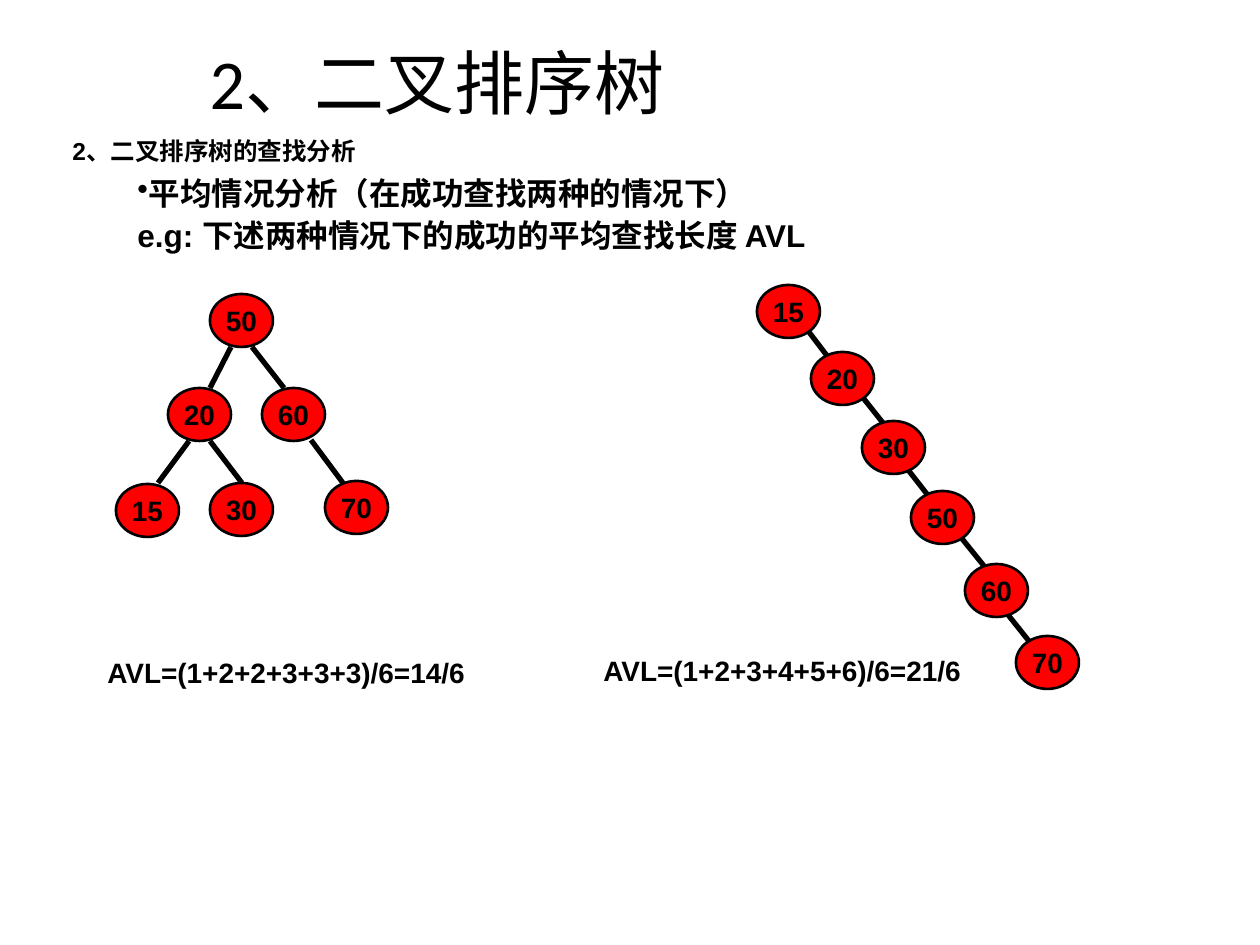
from lxml.etree import SubElement
from pptx import Presentation
from pptx.dml.color import RGBColor
from pptx.enum.shapes import MSO_CONNECTOR, MSO_SHAPE
from pptx.enum.text import MSO_ANCHOR, MSO_AUTO_SIZE, PP_ALIGN
from pptx.oxml.ns import qn
from pptx.util import Emu, Pt

BLACK = RGBColor(0, 0, 0)
RED = RGBColor(255, 0, 0)
NODE_WIDTH, NODE_HEIGHT = 63, 53


def px(length):
    return Emu(round(length * 914400 / 126))


def write(frame, text, size=16, font="Arial", bold=True, align=PP_ALIGN.LEFT,
          anchor=MSO_ANCHOR.TOP, wrap=True, margin=0, indent=0, bullet=None):
    frame.word_wrap = wrap
    frame.vertical_anchor = anchor
    paragraph = frame.paragraphs[0]
    paragraph.alignment = align
    if margin:
        properties = paragraph._p.get_or_add_pPr()
        properties.set("marL", str(px(margin)))
        properties.set("indent", str(px(indent)))
        if bullet:
            SubElement(properties, qn("a:buChar")).set("char", bullet)
    run = paragraph.add_run()
    run.text = text
    run.font.size = Pt(size)
    run.font.name = font
    run.font.bold = bold
    run.font.color.rgb = BLACK
    return paragraph


presentation = Presentation()
presentation.slide_width, presentation.slide_height = px(1260), px(945)
slide = presentation.slides.add_slide(presentation.slide_layouts[5])

title = slide.shapes.title
title.left, title.top, title.width, title.height = px(197), px(40), px(951), px(93)
heading = write(title.text_frame, "2、二叉排序树", size=40, font="Calibri",
                bold=False, anchor=MSO_ANCHOR.MIDDLE)
heading.line_spacing = 0.9

notes = [
    ((-3, 130, 383, 43), "2、二叉排序树的查找分析", dict(size=14, wrap=False, margin=63)),
    ((0, 168, 977, 50), "平均情况分析（在成功查找两种的情况下）",
     dict(size=18, margin=117, indent=8, bullet="•")),
    ((0, 210, 977, 50), "e.g: 下述两种情况下的成功的平均查找长度 AVL",
     dict(size=18, margin=117, indent=8)),
    ((95, 649, 599, 47), "AVL=(1+2+2+3+3+3)/6=14/6", {}),
    ((591, 647, 599, 47), "AVL=(1+2+3+4+5+6)/6=21/6", {}),
]
for bounds, text, style in notes:
    note = slide.shapes.add_textbox(*map(px, bounds))
    write(note.text_frame, text, **style)
    note.text_frame.auto_size = MSO_AUTO_SIZE.SHAPE_TO_FIT_TEXT

balanced_edges = [(231, 347, 210, 388), (252, 347, 284, 388), (311, 440, 343, 483),
                  (210, 441, 242, 483), (189, 441, 158, 483)]
balanced_nodes = {50: (210, 294), 20: (168, 388), 60: (262, 388),
                  15: (116, 484), 30: (210, 483), 70: (325, 481)}
chain_edges = [(796, 315, 828, 357), (845, 375, 887, 428), (902, 462, 955, 530),
               (955, 530, 997, 582), (1005, 611, 1052, 670)]
chain_nodes = {15: (757, 285), 20: (811, 352), 30: (862, 421),
               50: (911, 491), 60: (965, 564), 70: (1016, 636)}

chain = slide.shapes.add_group_shape()
for tree, edges, nodes in [(slide.shapes, balanced_edges, balanced_nodes),
                           (chain.shapes, chain_edges, chain_nodes)]:
    for ends in edges:
        edge = tree.add_connector(MSO_CONNECTOR.STRAIGHT, *map(px, ends))
        edge.line.color.rgb = BLACK
        edge.line.width = Pt(3)
        SubElement(edge._element.spPr, qn("a:effectLst"))
    for key, (left, top) in nodes.items():
        node = tree.add_shape(MSO_SHAPE.OVAL, px(left), px(top),
                              px(NODE_WIDTH), px(NODE_HEIGHT))
        node.shadow.inherit = False
        node.fill.solid()
        node.fill.fore_color.rgb = RED
        node.line.color.rgb = BLACK
        node.line.width = Pt(1.5)
        write(node.text_frame, str(key), align=PP_ALIGN.CENTER,
              anchor=MSO_ANCHOR.MIDDLE, wrap=False)

presentation.save("out.pptx")
